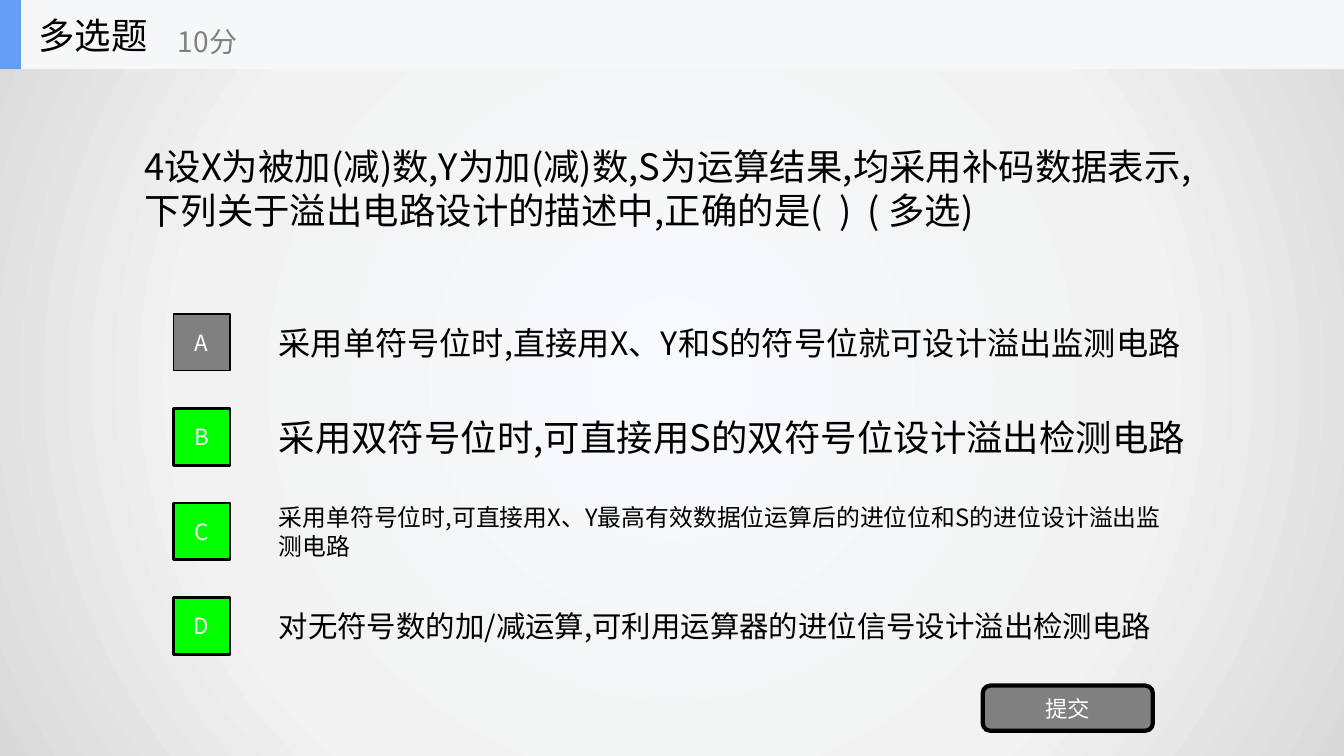
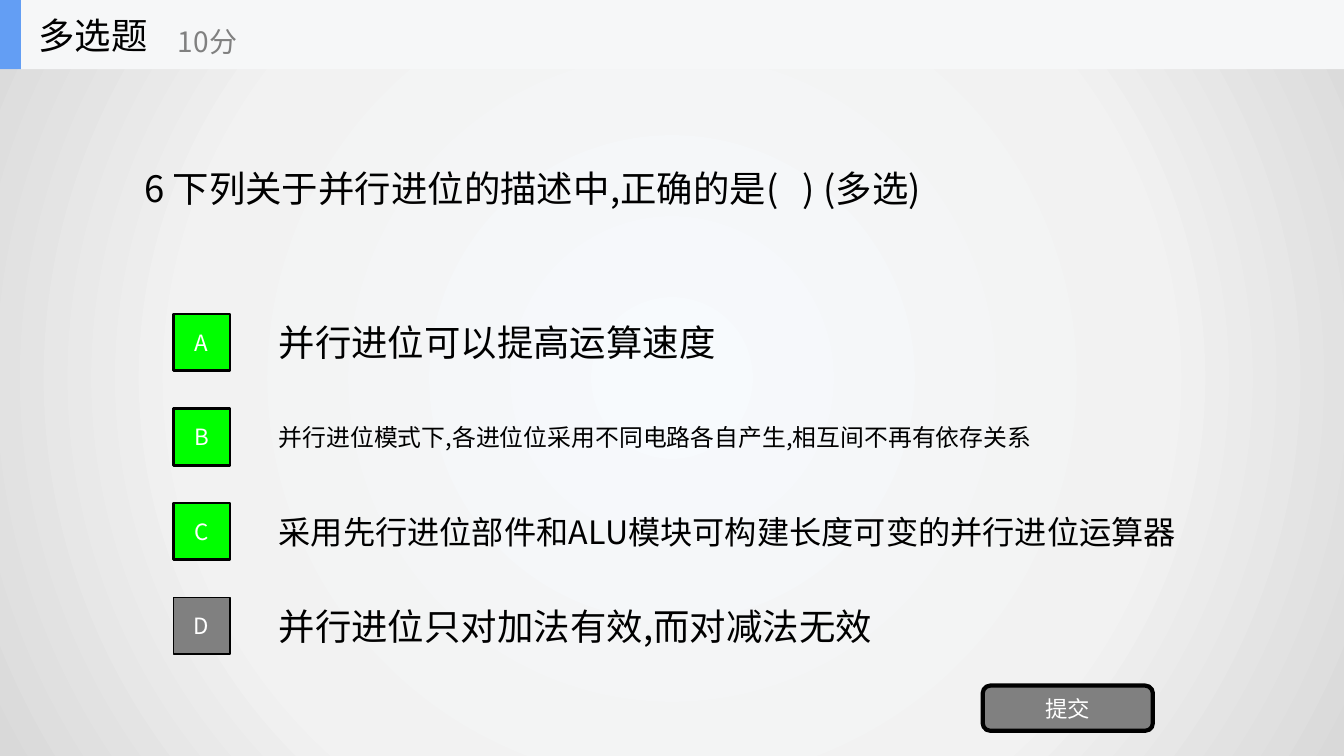
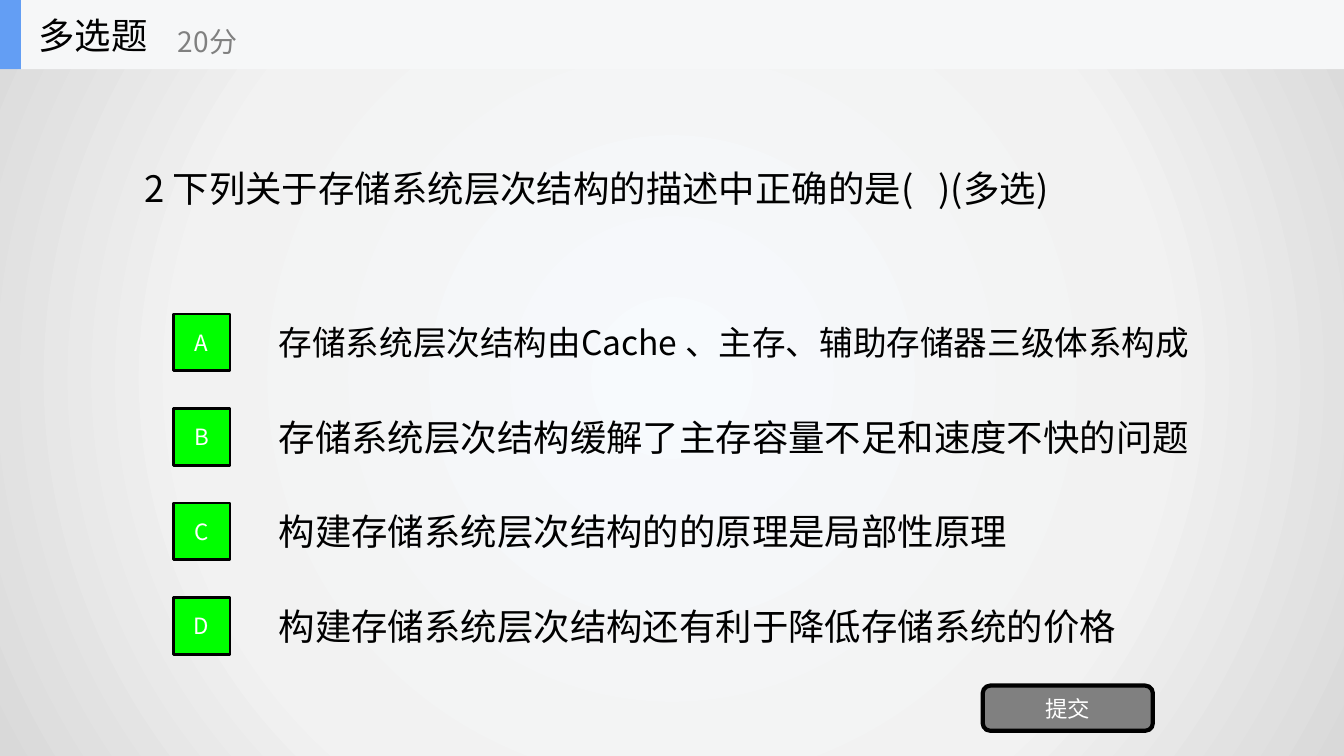
import pptx
import pptx.util
import pptx.oxml
import pptx.oxml.ns
import pptx.dml.color
import pptx.enum.shapes
import pptx.enum.text

RGB = pptx.dml.color.RGBColor
BLACK = RGB(0x00, 0x00, 0x00)
WHITE = RGB(0xFF, 0xFF, 0xFF)
GRAY = RGB(0x80, 0x80, 0x80)
GREEN = RGB(0x00, 0xFF, 0x00)
BAND = RGB(0xF6, 0xF7, 0xF8)
BLUE = RGB(0x63, 0x9E, 0xF4)
STOPS = [(0, RGB(0xF7, 0xFA, 0xFD)), (63, RGB(0xF2, 0xF2, 0xF2)), (100, RGB(0xD9, 0xD9, 0xD9))]

FONT = "Noto Sans CJK SC"
PX = 9525  # 96 px to the inch
WIDE, HIGH = 1280, 720
RECT = pptx.enum.shapes.MSO_SHAPE.RECTANGLE
ROUND = pptx.enum.shapes.MSO_SHAPE.ROUNDED_RECTANGLE
ALIGN = pptx.enum.text.PP_ALIGN
qn = pptx.oxml.ns.qn


def write(shape, text, size=26, color=BLACK, align=ALIGN.LEFT, wrap=True, grow=False):
    frame = shape.text_frame
    frame.word_wrap = wrap
    frame.vertical_anchor = pptx.enum.text.MSO_ANCHOR.MIDDLE
    if grow:
        frame.auto_size = pptx.enum.text.MSO_AUTO_SIZE.SHAPE_TO_FIT_TEXT
    para = frame.paragraphs[0]
    para.alignment = align
    run = para.add_run()
    run.text = text
    font = run.font
    font.size = pptx.util.Pt(size)
    font.name = FONT
    font.color.rgb = color
    east = pptx.oxml.parse_xml(f'<a:ea {pptx.oxml.ns.nsdecls("a")} typeface="{FONT}"/>')
    font._element.find(qn("a:latin")).addnext(east)


def draw(shapes, kind, box, fill, line=0):
    shape = shapes.add_shape(kind, *[n * PX for n in box])
    shape.shadow.inherit = False
    shape.fill.solid()
    shape.fill.fore_color.rgb = fill
    if line:
        shape.line.color.rgb = BLACK
        shape.line.width = pptx.util.Pt(line)
    else:
        shape.line.fill.background()
    return shape


# Each quiz: points, question, its width, then options (right, text, size, width)
QUIZ = [
    ("10分", "4设X为被加(减)数,Y为加(减)数,S为运算结果,均采用补码数据表示,"
     "下列关于溢出电路设计的描述中,正确的是(  )  ( 多选)", 1014, [
         (False, "采用单符号位时,直接用X、Y和S的符号位就可设计溢出监测电路", 23, 888),
         (True, "采用双符号位时,可直接用S的双符号位设计溢出检测电路", 26, 890),
         (True, "采用单符号位时,可直接用X、Y最高有效数据位运算后的进位位和S的进位设计溢出监测电路", 17, 859),
         (True, "对无符号数的加/减运算,可利用运算器的进位信号设计溢出检测电路", 21, 858)]),
    ("10分", "6 下列关于并行进位的描述中,正确的是(   ) (多选)", 770, [
        (True, "并行进位可以提高运算速度", 26, 445),
        (True, "并行进位模式下,各进位位采用不同电路各自产生,相互间不再有依存关系", 17, 739),
        (True, "采用先行进位部件和ALU模块可构建长度可变的并行进位运算器", 23, 884),
        (False, "并行进位只对加法有效,而对减法无效", 26, 592)]),
    ("20分", "2 下列关于存储系统层次结构的描述中正确的是(   )(多选)", 990, [
        (True, "存储系统层次结构由Cache 、主存、辅助存储器三级体系构成", 24, 893),
        (True, "存储系统层次结构缓解了主存容量不足和速度不快的问题", 26, 896),
        (True, "构建存储系统层次结构的的原理是局部性原理", 26, 723),
        (True, "构建存储系统层次结构还有利于降低存储系统的价格", 26, 827)]),
]

deck = pptx.Presentation()
deck.slide_width, deck.slide_height = WIDE * PX, HIGH * PX

# Round gradient shared through the master
master = deck.slide_master
master.background.fill.solid()
stops = "".join(f'<a:gs pos="{pos * 1000}"><a:srgbClr val="{tone}"/></a:gs>' for pos, tone in STOPS)
grad = pptx.oxml.parse_xml(
    f'<a:gradFill {pptx.oxml.ns.nsdecls("a")} rotWithShape="1"><a:gsLst>{stops}</a:gsLst>'
    '<a:path path="circle"><a:fillToRect l="50000" t="50000" r="50000" b="50000"/></a:path>'
    '</a:gradFill>')
back = master.element.find(".//" + qn("p:bgPr"))
back.replace(back.find(qn("a:solidFill")), grad)

TOP, STEP, SIDE = 299, 90, 54  # answer keys
LINE = 50  # height of a text box, centred on its row

for points, ask, width, options in QUIZ:
    slide = deck.slides.add_slide(deck.slide_layouts[6])
    shapes = slide.shapes

    # Question
    box = shapes.add_textbox(128 * PX, (179 - LINE // 2) * PX, width * PX, LINE * PX)
    write(box, ask, grow=True)

    # Options, green where right
    for row, (right, text, size, width) in enumerate(options):
        top = TOP + row * STEP
        box = shapes.add_textbox(256 * PX, (top + (SIDE - LINE) // 2) * PX, width * PX, LINE * PX)
        write(box, text, size=size, grow=True)
        key = draw(shapes, RECT, (165, top, SIDE, SIDE),
                   GREEN if right else GRAY, line=2 if right else 1)
        write(key, "ABCD"[row], size=16, color=WHITE, align=ALIGN.CENTER)

    # Submit button
    button = draw(shapes, ROUND, (936, 653, 162, 43), GRAY, line=3)
    write(button, "提交", size=16, color=WHITE, align=ALIGN.CENTER)

    # Header band
    head = shapes.add_group_shape().shapes
    draw(head, RECT, (0, 0, WIDE, 66), BAND)
    draw(head, RECT, (0, 0, 20, 66), BLUE)
    title = head.add_textbox(27 * PX, 0, 200 * PX, 66 * PX)
    write(title, "多选题", wrap=False)
    score = head.add_textbox(160 * PX, 12 * PX, 240 * PX, 54 * PX)
    write(score, points, size=20, color=GRAY, wrap=False)

deck.save("out.pptx")
